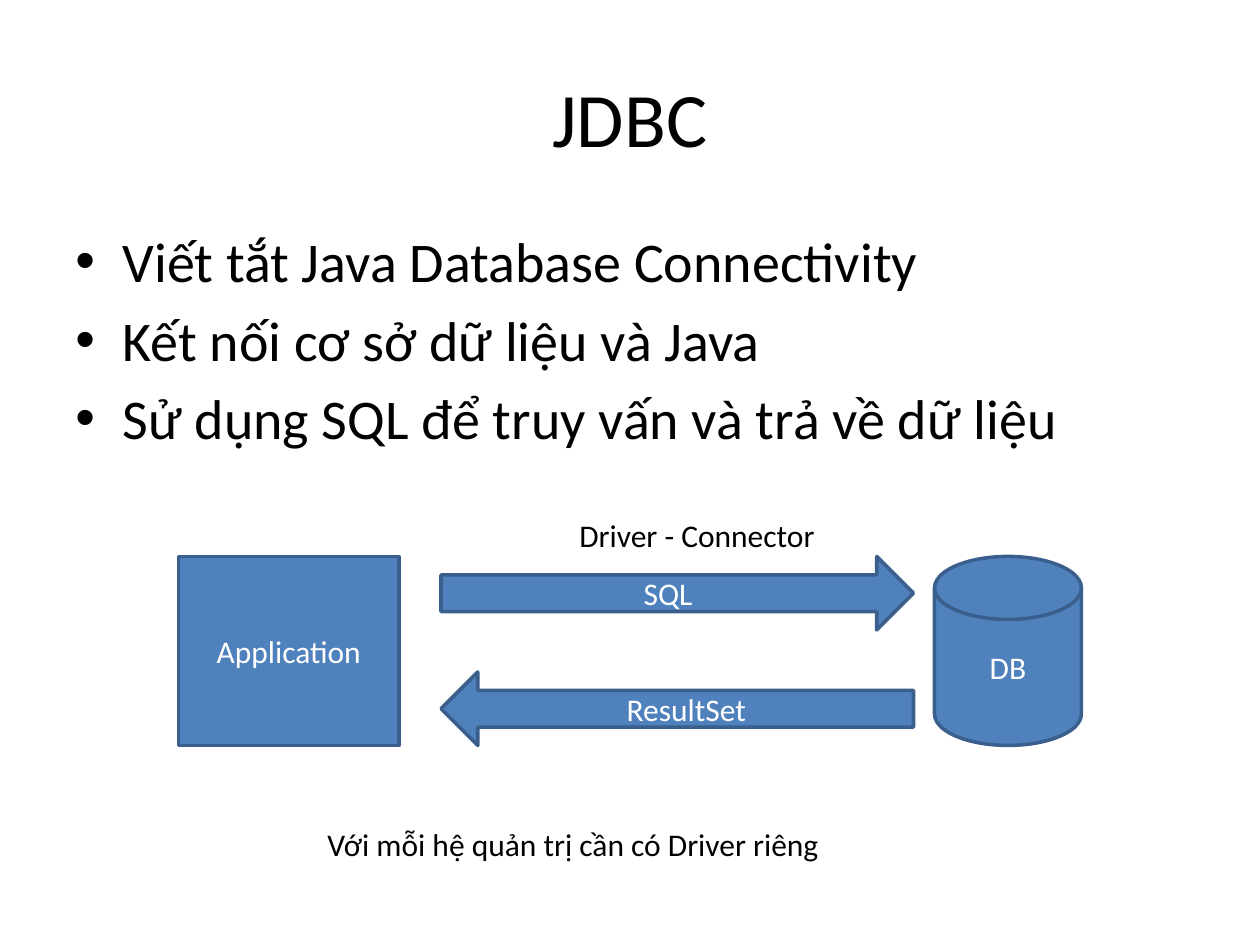
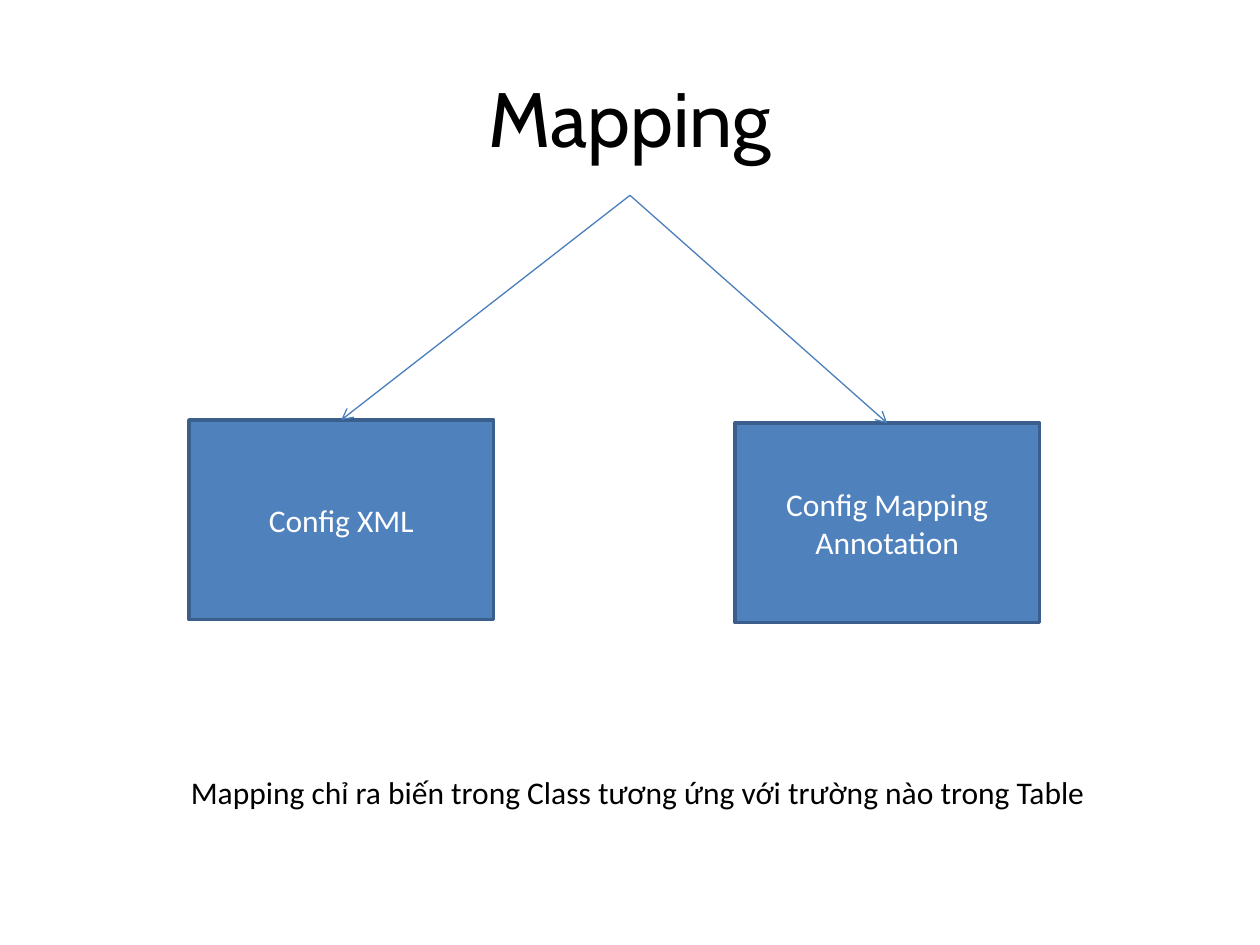
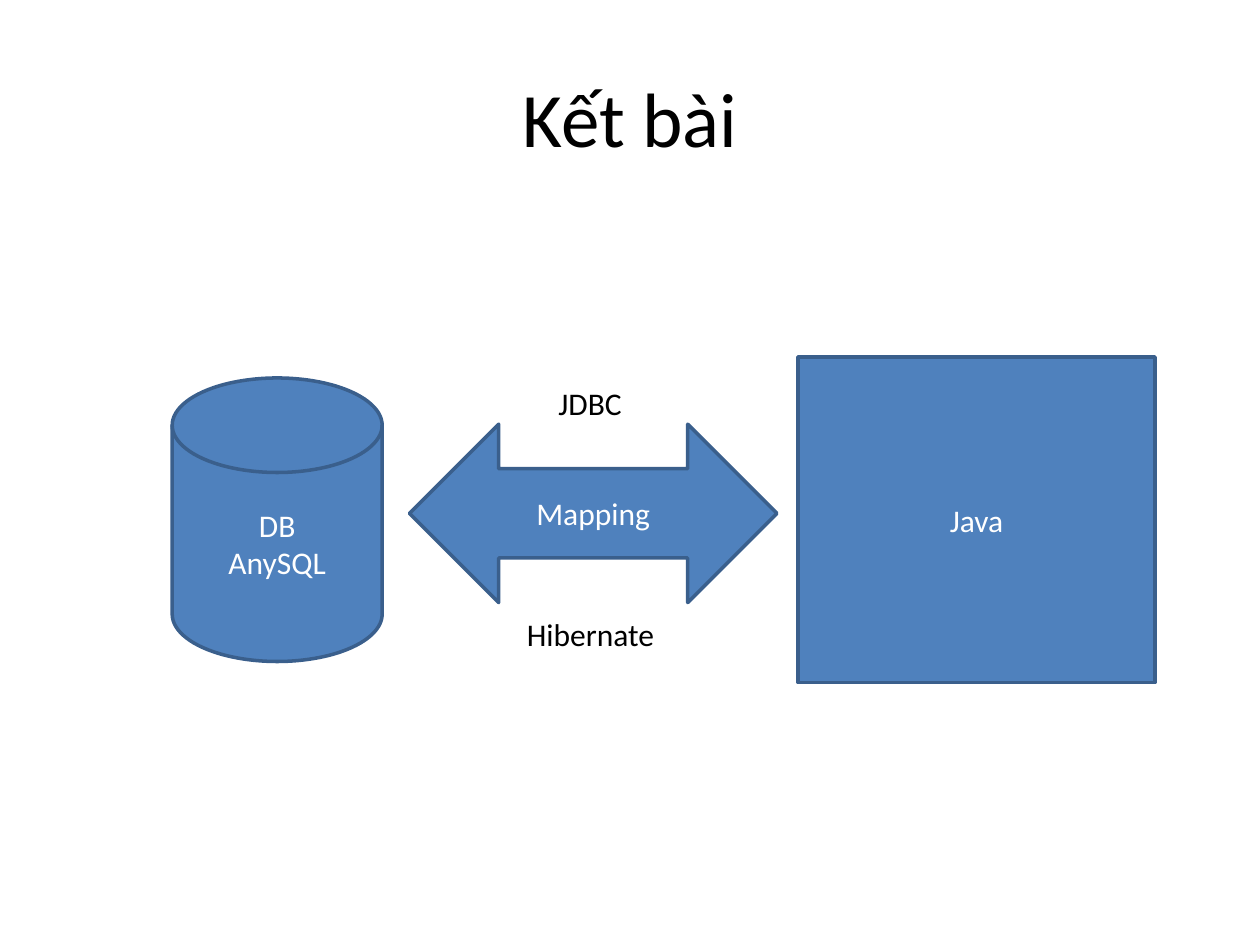
import dataclasses

import lxml.etree
import pptx
import pptx.dml.color
import pptx.enum.shapes
import pptx.enum.text
import pptx.oxml.ns
import pptx.util

SHAPE = pptx.enum.shapes.MSO_SHAPE
ALIGN = pptx.enum.text.PP_ALIGN
ANCHOR = pptx.enum.text.MSO_ANCHOR
FIT = pptx.enum.text.MSO_AUTO_SIZE
TOP, BOTTOM = 0, 2


@dataclasses.dataclass(frozen=True)
class Theme:
    font: str = "Calibri"
    accent_font: str = "Cabin"
    ink: str = "000000"
    paper: str = "FFFFFF"
    fill: str = "4F81BD"
    edge: str = "3A5F8C"
    arrow: str = "4B7EBC"
    title_size: float = 44
    body_size: float = 32
    label_size: float = 18
    edge_width: float = 2
    arrow_width: float = 0.75
    bullet_indent: float = 4.5
    bullet_gap: float = 0.2


class Deck:
    """Draws styled elements on the current slide over a grid of 120 columns by 90 rows."""

    COLUMNS, ROWS = 120, 90

    def __init__(self, theme):
        self.theme = theme
        self.prs = pptx.Presentation()
        self.prs.slide_width = pptx.util.Inches(10)
        self.prs.slide_height = pptx.util.Inches(7.5)
        self.slide = None

    def x(self, columns):
        return round(self.prs.slide_width * columns / self.COLUMNS)

    def y(self, rows):
        return round(self.prs.slide_height * rows / self.ROWS)

    def box(self, col, row, cols, rows):
        return self.x(col), self.y(row), self.x(cols), self.y(rows)

    def color(self, value):
        return pptx.dml.color.RGBColor.from_string(value)

    def style_text(self, sp, text, size, color, align, font=None):
        tf = sp.text_frame
        tf.text = text
        for p in tf.paragraphs:
            p.alignment = align
            for r in p.runs:
                r.font.name = font or self.theme.font
                r.font.size = pptx.util.Pt(size)
                r.font.color.rgb = self.color(color)
        return tf

    def add_slide(self, title, font=None):
        self.slide = self.prs.slides.add_slide(self.prs.slide_layouts[6])
        sp = self.slide.shapes.add_textbox(*self.box(6, 3.6, 108, 15))
        tf = self.style_text(sp, title, self.theme.title_size, self.theme.ink, ALIGN.CENTER, font)
        tf.word_wrap = True
        tf.vertical_anchor = ANCHOR.MIDDLE
        return sp

    def bullets(self, items, *area):
        sp = self.slide.shapes.add_textbox(*self.box(*area))
        size = self.theme.body_size
        tf = self.style_text(sp, "\n".join(items), size, self.theme.ink, ALIGN.LEFT)
        tf.word_wrap = True
        indent = self.x(self.theme.bullet_indent)
        for p in tf.paragraphs:
            p.space_before = pptx.util.Pt(size * self.theme.bullet_gap)
            pPr = p._p.get_or_add_pPr()
            pPr.set("marL", str(indent))
            pPr.set("indent", str(-indent))
            font = lxml.etree.SubElement(pPr, pptx.oxml.ns.qn("a:buFont"))
            font.set("typeface", "Arial")
            mark = lxml.etree.SubElement(pPr, pptx.oxml.ns.qn("a:buChar"))
            mark.set("char", "•")

    def label(self, text, col, row, cols):
        sp = self.slide.shapes.add_textbox(*self.box(col, row, cols, 4.8))
        tf = self.style_text(sp, text, self.theme.label_size, self.theme.ink, ALIGN.LEFT)
        tf.word_wrap = False
        tf.auto_size = FIT.SHAPE_TO_FIT_TEXT

    def block(self, kind, text, *area):
        sp = self.slide.shapes.add_shape(kind, *self.box(*area))
        sp.shadow.inherit = False
        sp.fill.solid()
        sp.fill.fore_color.rgb = self.color(self.theme.fill)
        sp.line.color.rgb = self.color(self.theme.edge)
        sp.line.width = pptx.util.Pt(self.theme.edge_width)
        tf = self.style_text(sp, text, self.theme.label_size, self.theme.paper, ALIGN.CENTER)
        tf.vertical_anchor = ANCHOR.MIDDLE
        return sp

    def arrow(self, source, target):
        straight = pptx.enum.shapes.MSO_CONNECTOR.STRAIGHT
        line = self.slide.shapes.add_connector(straight, 0, 0, 0, 0)
        line.begin_connect(source, BOTTOM)
        line.end_connect(target, TOP)
        line.line.color.rgb = self.color(self.theme.arrow)
        line.line.width = pptx.util.Pt(self.theme.arrow_width)
        spPr = line._element.spPr
        ln = spPr.find(pptx.oxml.ns.qn("a:ln"))
        lxml.etree.SubElement(ln, pptx.oxml.ns.qn("a:tailEnd")).set("type", "arrow")
        lxml.etree.SubElement(spPr, pptx.oxml.ns.qn("a:effectLst"))


def jdbc_slide(deck):
    deck.add_slide("JDBC")
    deck.bullets([
        "Viết tắt Java Database Connectivity",
        "Kết nối cơ sở dữ liệu và Java",
        "Sử dụng SQL để truy vấn và trả về dữ liệu",
    ], 6, 21, 108, 59.4)
    top, height, arrow_height = 53, 18, 7
    deck.block(SHAPE.FLOWCHART_MAGNETIC_DISK, "DB", 89, top, 14, height)
    deck.block(SHAPE.RECTANGLE, "Application", 17, top, 21, height)
    deck.block(SHAPE.RIGHT_ARROW, "SQL", 42, top, 45, arrow_height)
    deck.block(SHAPE.LEFT_ARROW, "ResultSet", 42, top + height - arrow_height, 45, arrow_height)
    deck.label("Driver - Connector", 54, 48.6, 27.12)
    deck.label("Với mỗi hệ quản trị cần có Driver riêng", 30, 78, 54.24)


def mapping_slide(deck):
    title = deck.add_slide("Mapping", deck.theme.accent_font)
    configs = [("Config XML", 18, 40), ("Config Mapping Annotation", 70, 40.3)]
    boxes = [deck.block(SHAPE.RECTANGLE, text, col, row, 29, 19) for text, col, row in configs]
    for sp in boxes:
        deck.arrow(title, sp)
    deck.label("Mapping chỉ ra biến trong Class tương ứng với trường nào trong Table", 17, 73, 97)


def closing_slide(deck):
    deck.add_slide("Kết bài")
    deck.block(SHAPE.FLOWCHART_MAGNETIC_DISK, "DB\nAnySQL", 16.4, 36, 20, 27)
    deck.block(SHAPE.RECTANGLE, "Java", 76, 34, 34, 31)
    deck.block(SHAPE.LEFT_RIGHT_ARROW, "Mapping", 39, 40.4, 35, 17)
    deck.label("Hibernate", 49, 58, 15.6)
    deck.label("JDBC", 52, 36, 10.3)


deck = Deck(Theme())
jdbc_slide(deck)
mapping_slide(deck)
closing_slide(deck)
deck.prs.save("out.pptx")
